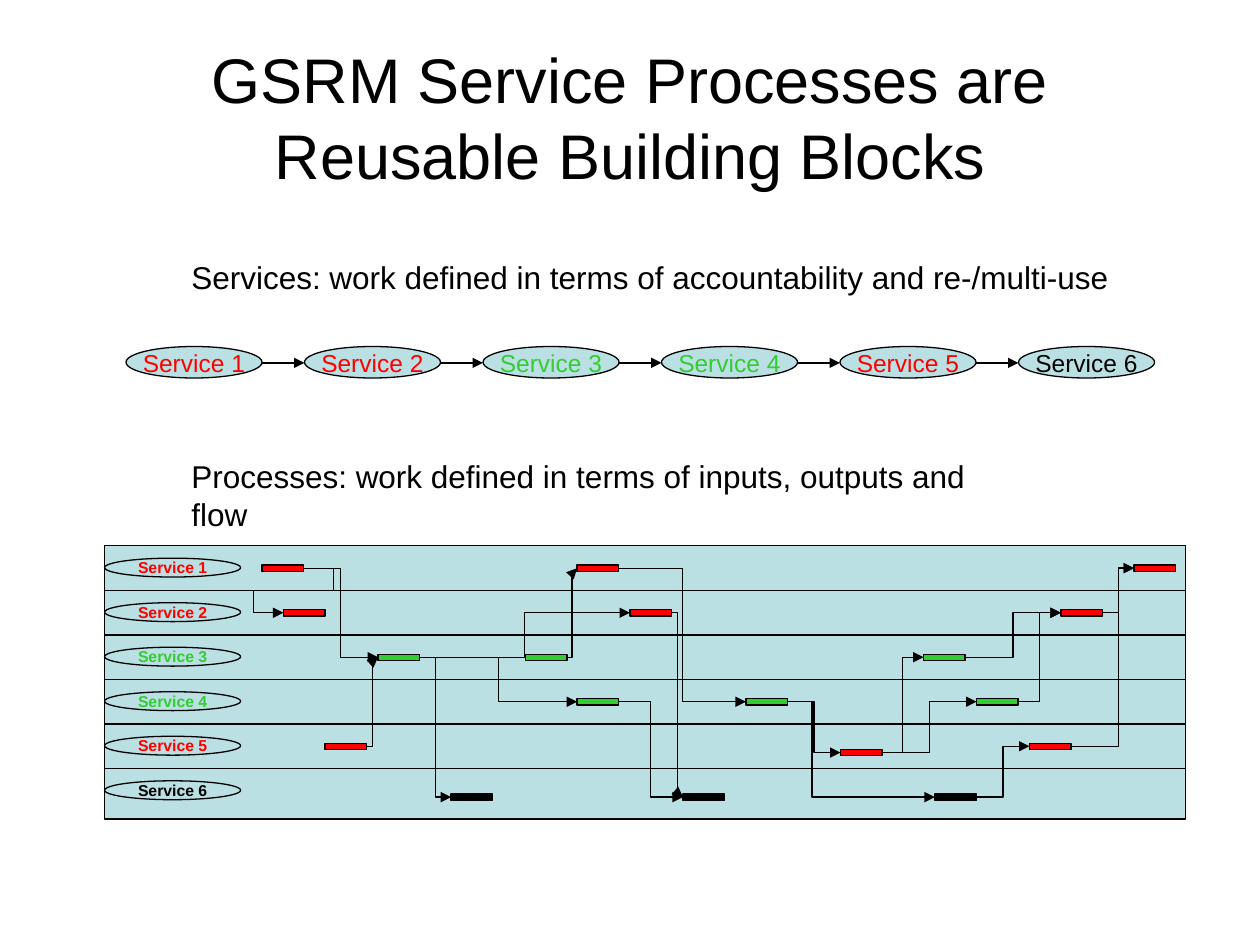
"""Build the slide showing services as reusable blocks of a process flow."""
from lxml import etree
from pptx import Presentation
from pptx import util as u
from pptx.dml import color
from pptx.enum import shapes, text
from pptx.oxml import ns

COLORS = {"red": "FF0000", "green": "33CC33", "black": "000000", "pale": "BBE0E3"}
SERVICES = ["red", "red", "green", "green", "red", "black"]
FONT = "Arial"

STEP_PITCH = 17 / 12
OVAL_WIDTH = 1.08
CHART_LEFT, CHART_TOP, CHART_WIDTH, CHART_HEIGHT = 0.83, 4.33, 8.58, 2.17
LANE_PITCH = 2.12 / 6
FIRST_LANE_CENTER = 4.51
BAR_WIDTH, BAR_HEIGHT = 0.33, 0.05
LOW_BAR_DROP = 0.05

# Each task: lane number, left edge, drop below the lane center.
TASKS = {
    "1a": (1, 2.08, 0), "2a": (2, 2.25, 0), "5a": (5, 2.58, 0),
    "1c": (1, 9, 0), "1b": (1, 4.58, 0), "2b": (2, 5, 0),
    "3b": (3, 4.17, 0), "4c": (4, 7.75, 0), "3a": (3, 3, 0),
    "3c": (3, 7.33, 0), "4a": (4, 4.58, 0), "4b": (4, 5.92, 0),
    "5b": (5, 6.67, LOW_BAR_DROP), "5c": (5, 8.17, 0), "2c": (2, 8.42, 0),
    "6b": (6, 5.42, LOW_BAR_DROP), "6a": (6, 3.58, LOW_BAR_DROP),
    "6c": (6, 7.42, LOW_BAR_DROP),
}
# Each handoff: source task, target task, bend positions in percent.
HANDOFFS = [
    ("1a", "2a", (-150, 50, 250)), ("1a", "3a", (50,)), ("3a", "4a", (50,)),
    ("3a", "2b", (50,)), ("5a", "3a", (50,)), ("3a", "6a", (50,)),
    ("3b", "1b", (50,)), ("2b", "6b", (50,)), ("1b", "4b", (50,)),
    ("4a", "6b", (50,)), ("4b", "5b", (50,)), ("4b", "6c", (16.7,)),
    ("5b", "3c", (50,)), ("6c", "5c", (50,)), ("5b", "4c", (50,)),
    ("3c", "2c", (50,)), ("4c", "2c", (50,)), ("5c", "1c", (75,)),
    ("2c", "1c", (50,)),
]


def rgb(name):
    return color.RGBColor.from_string(COLORS[name])


def set_font(paragraph, size, ink="black", bold=False):
    font = paragraph.font
    font.name, font.size, font.bold = FONT, u.Pt(size), bold
    font.color.rgb = rgb(ink)


def add_block(parent, kind, left, top, width, height, fill):
    block = parent.add_shape(kind, *map(u.Inches, (left, top, width, height)))
    block.shadow.inherit = False
    block.fill.solid()
    block.fill.fore_color.rgb = rgb(fill)
    block.line.color.rgb = rgb("black")
    block.line.width = u.Pt(0.75)
    return block


def add_service(parent, number, left, top, height, size, bold=False):
    oval = add_block(parent, shapes.MSO_SHAPE.OVAL, left, top, OVAL_WIDTH, height, "pale")
    frame = oval.text_frame
    frame.word_wrap = False
    frame.vertical_anchor = text.MSO_ANCHOR.MIDDLE
    label = frame.paragraphs[0]
    label.text = f"Service {number}"
    label.alignment = text.PP_ALIGN.CENTER
    set_font(label, size, SERVICES[number - 1], bold)


def add_line(parent, kind, start, end, arrow=True):
    line = parent.add_connector(kind, *map(u.Inches, (*start, *end)))
    line.line.color.rgb = rgb("black")
    line.line.width = u.Pt(0.75)
    properties = line._element.spPr
    if arrow:
        outline = properties.find(ns.qn("a:ln"))
        etree.SubElement(outline, ns.qn("a:tailEnd"), type="triangle")
    etree.SubElement(properties, ns.qn("a:effectLst"))
    return line


def add_handoff(parent, source, target, bends):
    handoff = add_line(parent, shapes.MSO_CONNECTOR.ELBOW, (0, 0), (0, 0))
    handoff.begin_connect(source, 3)
    handoff.end_connect(target, 1)
    geometry = handoff._element.spPr.find(ns.qn("a:prstGeom"))
    geometry.set("prst", f"bentConnector{len(bends) + 2}")
    guides = geometry.find(ns.qn("a:avLst"))
    for number, bend in enumerate(bends, 1):
        etree.SubElement(guides, ns.qn("a:gd"), name=f"adj{number}",
                         fmla=f"val {round(bend * 1000)}")


def add_caption(parent, wording, top, width):
    caption = parent.add_textbox(*map(u.Inches, (1.42, top, width, 0.4)))
    frame = caption.text_frame
    frame.word_wrap = False
    frame.auto_size = text.MSO_AUTO_SIZE.SHAPE_TO_FIT_TEXT
    frame.text = wording
    set_font(frame.paragraphs[0], 18)


def add_title(slide, wording):
    title = slide.shapes.title
    title.left, title.top, title.width, title.height = map(u.Inches, (0.5, 0.3, 9, 1.25))
    frame = title.text_frame
    frame.text = wording
    frame.vertical_anchor = text.MSO_ANCHOR.MIDDLE
    frame.paragraphs[0].alignment = text.PP_ALIGN.CENTER
    set_font(frame.paragraphs[0], 36)


def add_service_chain(parent):
    lefts = [1 + i * STEP_PITCH for i in range(len(SERVICES))]
    for number, left in enumerate(lefts, 1):
        add_service(parent, number, left, 2.75, 0.25, 14)
    for left, following in zip(lefts, lefts[1:]):
        add_line(parent, shapes.MSO_CONNECTOR.STRAIGHT,
                 (left + OVAL_WIDTH, 2.88), (following, 2.88))


def add_swimlanes(parent):
    add_block(parent, shapes.MSO_SHAPE.RECTANGLE, CHART_LEFT, CHART_TOP,
              CHART_WIDTH, CHART_HEIGHT, "pale")
    for lane in range(1, len(SERVICES)):
        y = FIRST_LANE_CENTER + (lane - 0.5) * LANE_PITCH
        add_line(parent, shapes.MSO_CONNECTOR.STRAIGHT, (CHART_LEFT, y),
                 (CHART_LEFT + CHART_WIDTH, y), arrow=False)
    for lane in range(len(SERVICES)):
        top = FIRST_LANE_CENTER + lane * LANE_PITCH - 0.08
        add_service(parent, lane + 1, CHART_LEFT, top, 0.15, 9, bold=True)
    bars = {}
    for task, (lane, left, drop) in TASKS.items():
        top = FIRST_LANE_CENTER + (lane - 1) * LANE_PITCH + drop - BAR_HEIGHT / 2
        bars[task] = add_block(parent, shapes.MSO_SHAPE.RECTANGLE, left, top,
                               BAR_WIDTH, BAR_HEIGHT, SERVICES[lane - 1])
    for source, target, bends in HANDOFFS:
        add_handoff(parent, bars[source], bars[target], bends)


def main():
    deck = Presentation()
    deck.slide_width, deck.slide_height = u.Inches(10), u.Inches(7.5)
    slide = deck.slides.add_slide(deck.slide_layouts[5])
    add_title(slide, "GSRM Service Processes are Reusable Building Blocks")
    add_service_chain(slide.shapes)
    add_swimlanes(slide.shapes.add_group_shape().shapes)
    add_caption(slide.shapes, "Services: work defined in terms of accountability"
                " and re-/multi-use", 2, 7.48)
    add_caption(slide.shapes, "Processes: work defined in terms of inputs,"
                " outputs and flow", 3.58, 6.85)
    deck.save("out.pptx")


if __name__ == "__main__":
    main()
